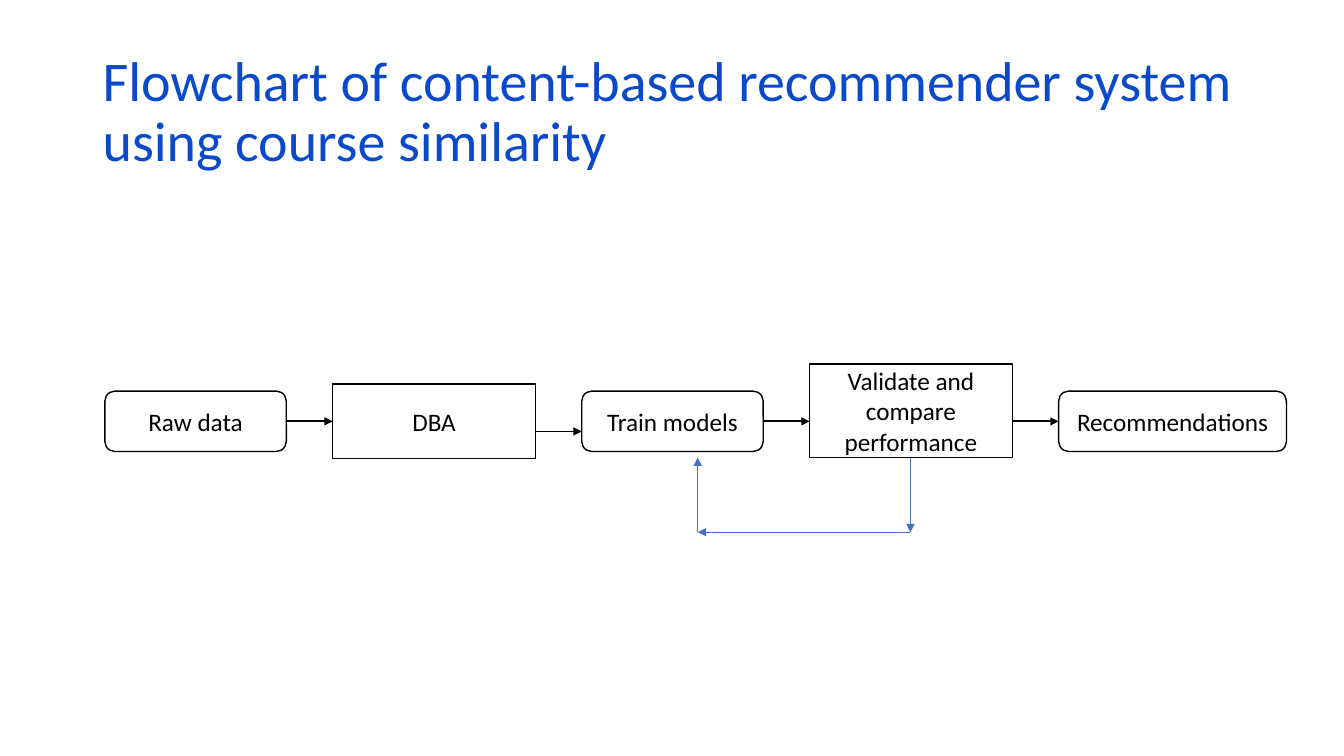
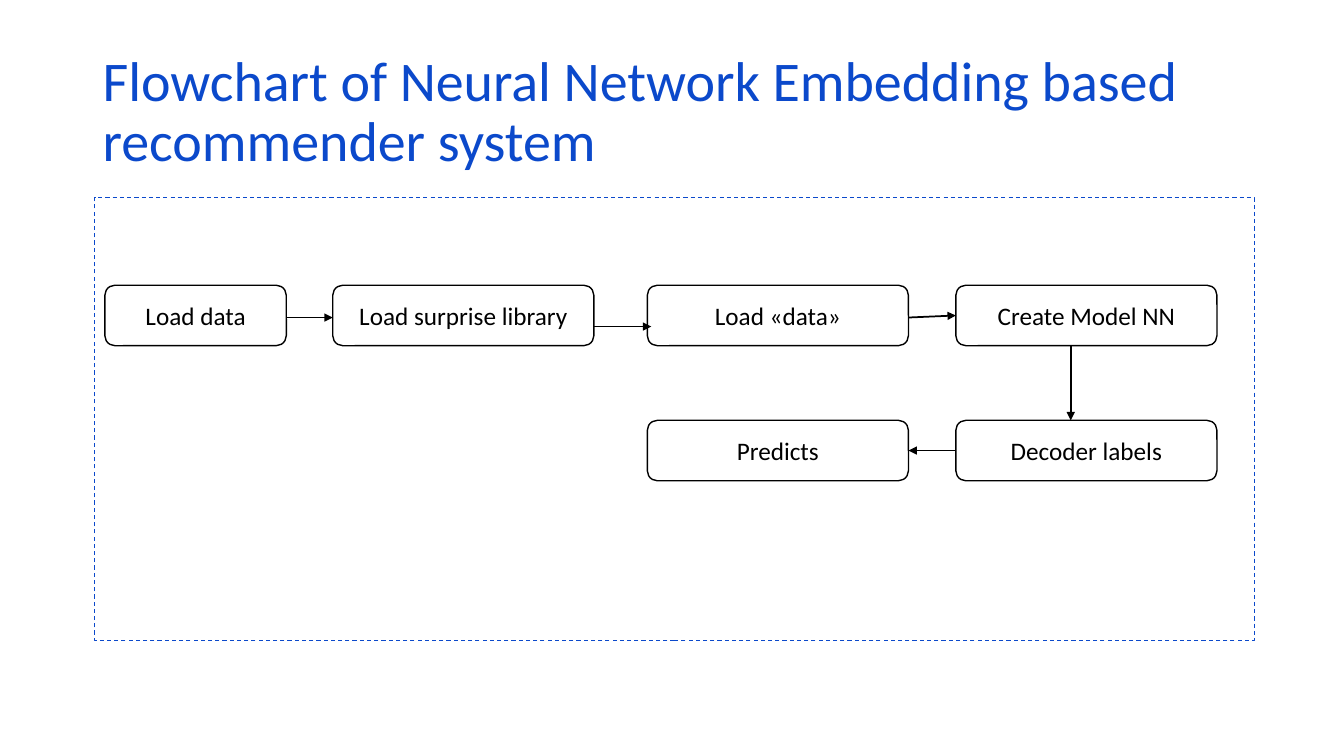
from dataclasses import dataclass
from itertools import pairwise

from lxml import etree
from pptx import Presentation
from pptx import util as u
from pptx.dml.color import RGBColor
from pptx.enum import dml, shapes, text
from pptx.oxml.ns import qn
from pptx.shapes.autoshape import Shape
from pptx.slide import Slide

PX = u.Inches(1) // 100
ROUNDED = shapes.MSO_SHAPE.ROUNDED_RECTANGLE
RECT = shapes.MSO_SHAPE.RECTANGLE


@dataclass(frozen=True)
class Theme:
    font: str = "Calibri"
    title_size: int = 40
    label_size: int = 18
    title_color: RGBColor = RGBColor(0x0B, 0x49, 0xCB)
    ink: RGBColor = RGBColor(0, 0, 0)
    paper: RGBColor = RGBColor(0xFF, 0xFF, 0xFF)
    feedback: RGBColor = RGBColor(0x44, 0x72, 0xC4)
    box_line: float = 1
    arrow_line: float = 1.25
    feedback_line: float = 0.5
    frame_line: float = 0.75


@dataclass(frozen=True)
class Box:
    label: str
    x: int
    y: int
    w: int
    h: int = 60
    kind: shapes.MSO_SHAPE = ROUNDED


@dataclass(frozen=True)
class Arrow:
    x1: int
    y1: int
    x2: int
    y2: int
    color: RGBColor
    weight: float


THEME = Theme()
LEFT = 104
GAP = 46


def px(*lengths: int) -> list[int]:
    return [u.Emu(n * PX) for n in lengths]


def flow_arrow(x1: int, y1: int, x2: int, y2: int) -> Arrow:
    return Arrow(x1, y1, x2, y2, THEME.ink, THEME.arrow_line)


def add_title(s: Slide, title: str) -> None:
    tf = s.shapes.add_textbox(*px(92, 40, 1150, 145)).text_frame
    tf.word_wrap = True
    tf.vertical_anchor = text.MSO_ANCHOR.MIDDLE
    p = tf.paragraphs[0]
    p.text = title
    p.line_spacing = 0.9
    p.font.name = THEME.font
    p.font.size = u.Pt(THEME.title_size)
    p.font.color.rgb = THEME.title_color


def add_outline(s: Slide, box: Box, color: RGBColor, weight: float) -> Shape:
    sp = s.shapes.add_shape(box.kind, *px(box.x, box.y, box.w, box.h))
    sp.shadow.inherit = False
    sp.fill.background()
    sp.line.color.rgb = color
    sp.line.width = u.Pt(weight)
    return sp


def add_box(s: Slide, box: Box) -> None:
    sp = add_outline(s, box, THEME.ink, THEME.box_line)
    if box.kind == RECT:
        sp.fill.solid()
        sp.fill.fore_color.rgb = THEME.paper
    tf = sp.text_frame
    tf.word_wrap = True
    tf.vertical_anchor = text.MSO_ANCHOR.MIDDLE
    p = tf.paragraphs[0]
    p.text = box.label
    p.alignment = text.PP_ALIGN.CENTER
    p.font.name = THEME.font
    p.font.size = u.Pt(THEME.label_size)
    p.font.color.rgb = THEME.ink


def add_arrow(s: Slide, arrow: Arrow) -> None:
    ends = px(arrow.x1, arrow.y1, arrow.x2, arrow.y2)
    line = s.shapes.add_connector(shapes.MSO_CONNECTOR.STRAIGHT, *ends)
    line.line.color.rgb = arrow.color
    line.line.width = u.Pt(arrow.weight)
    sp_pr = line.element.spPr
    etree.SubElement(sp_pr.find(qn("a:ln")), qn("a:tailEnd"), type="triangle")
    etree.SubElement(sp_pr, qn("a:effectLst"))


def add_frame(s: Slide) -> None:
    frame = Box("", 94, 196, 1150, 439, RECT)
    sp = add_outline(s, frame, THEME.title_color, THEME.frame_line)
    sp.line.dash_style = dml.MSO_LINE.DASH


def add_flow(s: Slide, boxes: list[Box], arrows: list[Arrow]) -> None:
    for box in boxes:
        add_box(s, box)
    for arrow in arrows:
        add_arrow(s, arrow)


def similarity_slide(s: Slide) -> None:
    add_title(s, "Flowchart of content-based recommender system using course similarity")
    steps = [
        ("Raw data", 388, 180, 60, ROUNDED),
        ("DBA", 381, 201, 74, RECT),
        ("Train models", 388, 180, 60, ROUNDED),
        ("Validate and compare performance", 361, 201, 93, RECT),
        ("Recommendations", 388, 226, 60, ROUNDED),
    ]
    boxes = []
    x = LEFT
    for label, y, w, h, kind in steps:
        boxes.append(Box(label, x, y, w, h, kind))
        x += w + GAP
    arrows = [
        flow_arrow(a.x + a.w, y, b.x, y)
        for (a, b), y in zip(pairwise(boxes), (418, 428, 418, 418))
    ]
    loop = [(903, 454), (903, 528), (692, 528), (692, 454)]
    arrows += [
        Arrow(*start, *end, THEME.feedback, THEME.feedback_line)
        for start, end in pairwise(loop)
    ]
    add_flow(s, boxes, arrows)


def embedding_slide(s: Slide) -> None:
    add_title(s, "Flowchart of Neural Network Embedding based recommender system")
    add_frame(s)
    top, bottom, wide = 283, 417, 259
    library_x, data_x, model_x = 330, 642, 948
    boxes = [
        Box("Load data", LEFT, top, 180),
        Box("Load surprise library", library_x, top, wide),
        Box("Load «data»", data_x, top, wide),
        Box("Create Model NN", model_x, top, wide),
        Box("Decoder labels", model_x, bottom, wide),
        Box("Predicts", data_x, bottom, wide),
    ]
    arrows = [
        flow_arrow(LEFT + 180, 315, library_x, 315),
        flow_arrow(library_x + wide, 324, 646, 324),
        flow_arrow(data_x + wide, 315, model_x, 313),
        flow_arrow(1062, top + 60, 1062, bottom),
        flow_arrow(model_x, bottom + 30, data_x + wide, bottom + 30),
    ]
    add_flow(s, boxes, arrows)


def main() -> None:
    prs = Presentation()
    prs.slide_width, prs.slide_height = px(1333, 750)
    blank = prs.slide_layouts[6]
    for build in (similarity_slide, embedding_slide):
        build(prs.slides.add_slide(blank))
    prs.save("out.pptx")


if __name__ == "__main__":
    main()
